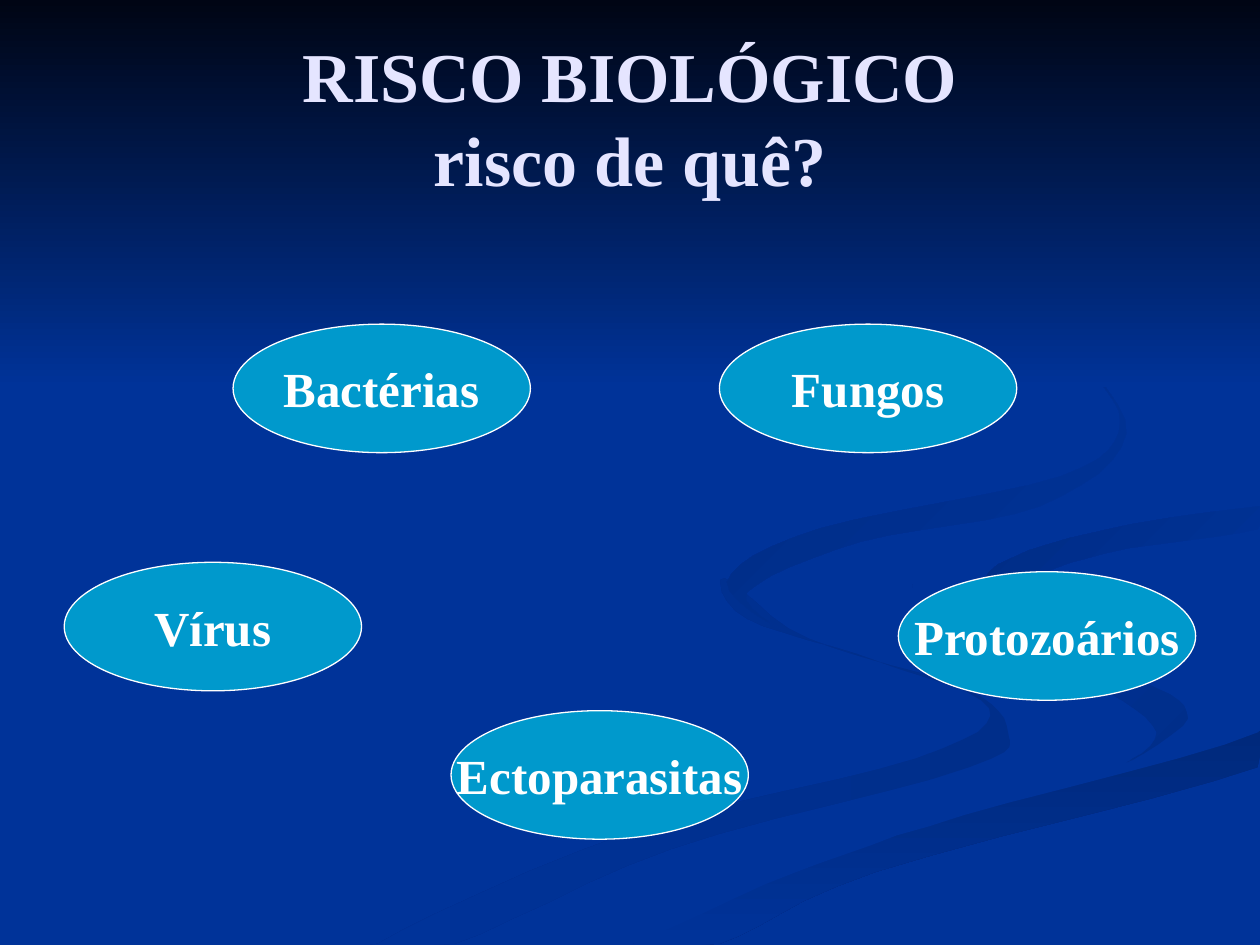
from dataclasses import dataclass
from typing import Optional

from pptx import Presentation
from pptx.dml.color import RGBColor
from pptx.enum.shapes import MSO_SHAPE
from pptx.enum.text import MSO_ANCHOR, MSO_AUTO_SIZE, PP_ALIGN
from pptx.util import Inches, Pt

BLUE = RGBColor(0x00, 0x33, 0x99)
NIGHT = RGBColor(0x00, 0x05, 0x14)
SHADE_1 = RGBColor(0x00, 0x2E, 0x8A)
SHADE_2 = RGBColor(0x00, 0x29, 0x7C)
SHADE_3 = RGBColor(0x00, 0x2C, 0x85)
SHADE_4 = RGBColor(0x00, 0x2B, 0x81)
CYAN = RGBColor(0x00, 0x99, 0xCC)
WHITE = RGBColor(0xFF, 0xFF, 0xFF)
LAVENDER = RGBColor(0xE5, 0xE5, 0xFF)
FONT = "Times New Roman"
HUNDREDTH = 9144  # EMU in a hundredth of an inch
STEPS = 6  # segments drawn between two knots

prs = Presentation()
prs.slide_width, prs.slide_height = Inches(10), Inches(7.5)
W, H = prs.slide_width, prs.slide_height
Knot = tuple[int, int]


@dataclass
class Ribbon:
    """A smooth closed outline through knots, in hundredths of an inch."""
    start: RGBColor
    end: Optional[RGBColor]  # None for a plain fill
    angle: int  # counter-clockwise
    knots: list[Knot]


@dataclass
class Agent:
    """A labelled ellipse, placed by shares of the slide's size."""
    label: str
    x: float
    y: float


RIBBONS = [
    # Lower left tail
    Ribbon(SHADE_1, BLUE, 180, [
        (575, 459), (593, 491), (697, 525), (785, 562), (727, 602), (499, 661),
        (300, 749), (361, 749), (532, 674), (769, 609), (800, 581), (767, 547),
        (642, 507)]),
    # Right curl
    Ribbon(SHADE_1, BLUE, 135, [
        (724, 464), (766, 512), (868, 544), (918, 581), (894, 605), (943, 570),
        (905, 540), (758, 498)]),
    # Bottom right sweep
    Ribbon(SHADE_2, BLUE, 270, [
        (503, 749), (571, 749), (695, 692), (998, 609), (998, 581), (764, 647),
        (630, 693)]),
    # Wide plain ribbon
    Ribbon(BLUE, None, 0, [
        (725, 464), (759, 498), (905, 540), (943, 570), (902, 603), (663, 668),
        (477, 749), (503, 749), (630, 693), (765, 647), (999, 581), (999, 538),
        (848, 503), (781, 463), (865, 424), (999, 402), (999, 387), (808, 417)]),
    # Upper right streak
    Ribbon(BLUE, SHADE_3, 135, [
        (781, 460), (826, 496), (809, 466), (878, 439), (998, 420), (998, 402),
        (849, 427)]),
    # Large S curve
    Ribbon(BLUE, SHADE_4, 135, [
        (683, 430), (825, 402), (894, 344), (843, 275), (762, 233), (846, 279),
        (889, 335), (842, 378), (649, 420), (577, 462), (622, 500), (593, 470)]),
]

AGENT_W, AGENT_H = 0.236, 0.136
AGENTS = [
    Agent("Bactérias", 0.185, 0.343),
    Agent("Vírus", 0.051, 0.595),
    Agent("Fungos", 0.571, 0.343),
    Agent("Ectoparasitas", 0.358, 0.752),
    Agent("Protozoários", 0.713, 0.605),
]


def smooth(knots: list[Knot]) -> list[Knot]:
    """Closed Catmull-Rom curve through the knots, kept inside the slide."""
    def blend(a: int, b: int, c: int, d: int, t: float, limit: int) -> int:
        v = b + t * (c - a + t * (2 * a - 5 * b + 4 * c - d
                                  + t * (3 * b - a - 3 * c + d))) / 2
        return round(min(max(v, 0), limit))

    n = len(knots)
    points = []
    for i in range(n):
        xs, ys = zip(*(knots[(i + k) % n] for k in range(-1, 3)))
        for step in range(STEPS):
            t = step / STEPS
            points.append((blend(*xs, t, 1000), blend(*ys, t, 750)))
    return points


def fill_gradient(sp, start: RGBColor, end: RGBColor, angle: int) -> None:
    sp.fill.gradient()
    sp.fill.gradient_angle = angle
    for stop, color in zip(sp.fill.gradient_stops, (start, end)):
        stop.color.rgb = color


def fill_solid(fill, color: RGBColor) -> None:
    fill.solid()
    fill.fore_color.rgb = color


def draw_ribbon(s, ribbon: Ribbon) -> None:
    first, *rest = smooth(ribbon.knots)
    builder = s.shapes.build_freeform(*first, scale=HUNDREDTH)
    builder.add_line_segments(rest, close=True)
    sp = builder.convert_to_shape()
    sp.shadow.inherit = False
    sp.line.fill.background()
    if ribbon.end is None:
        fill_solid(sp.fill, ribbon.start)
    else:
        fill_gradient(sp, ribbon.start, ribbon.end, ribbon.angle)


def draw_sky(s) -> None:
    sp = s.shapes.add_shape(MSO_SHAPE.RECTANGLE, 0, 0, W, int(0.41 * H))
    sp.shadow.inherit = False
    sp.line.fill.background()
    fill_gradient(sp, NIGHT, BLUE, 270)


def format_text(tf, size: int, color: RGBColor) -> None:
    tf.vertical_anchor = MSO_ANCHOR.MIDDLE
    tf.auto_size = MSO_AUTO_SIZE.NONE
    for p in tf.paragraphs:
        p.alignment = PP_ALIGN.CENTER
        p.font.name, p.font.size, p.font.bold = FONT, Pt(size), True
        p.font.color.rgb = color


def draw_agent(s, agent: Agent) -> None:
    sp = s.shapes.add_shape(MSO_SHAPE.OVAL, int(agent.x * W), int(agent.y * H),
                            int(AGENT_W * W), int(AGENT_H * H))
    sp.shadow.inherit = False
    fill_solid(sp.fill, CYAN)
    sp.line.color.rgb = WHITE
    sp.line.width = Pt(0.75)
    tf = sp.text_frame
    tf.text = agent.label
    tf.word_wrap = False
    format_text(tf, 28, WHITE)


def main() -> None:
    s = prs.slides.add_slide(prs.slide_layouts[5])

    # Background
    fill_solid(s.background.fill, BLUE)
    for ribbon in RIBBONS:
        draw_ribbon(s, ribbon)
    draw_sky(s)

    # Title, brought in front of the background
    title = s.shapes.title
    s.shapes._spTree.append(title._element)
    title.left, title.top = int(0.05 * W), int(0.04 * H)
    title.width, title.height = int(0.9 * W), Inches(1.25)
    title.text_frame.text = "RISCO BIOLÓGICO\vrisco de quê?"
    format_text(title.text_frame, 40, LAVENDER)

    # Biological agents
    for agent in AGENTS:
        draw_agent(s, agent)

    prs.save("out.pptx")


if __name__ == "__main__":
    main()
